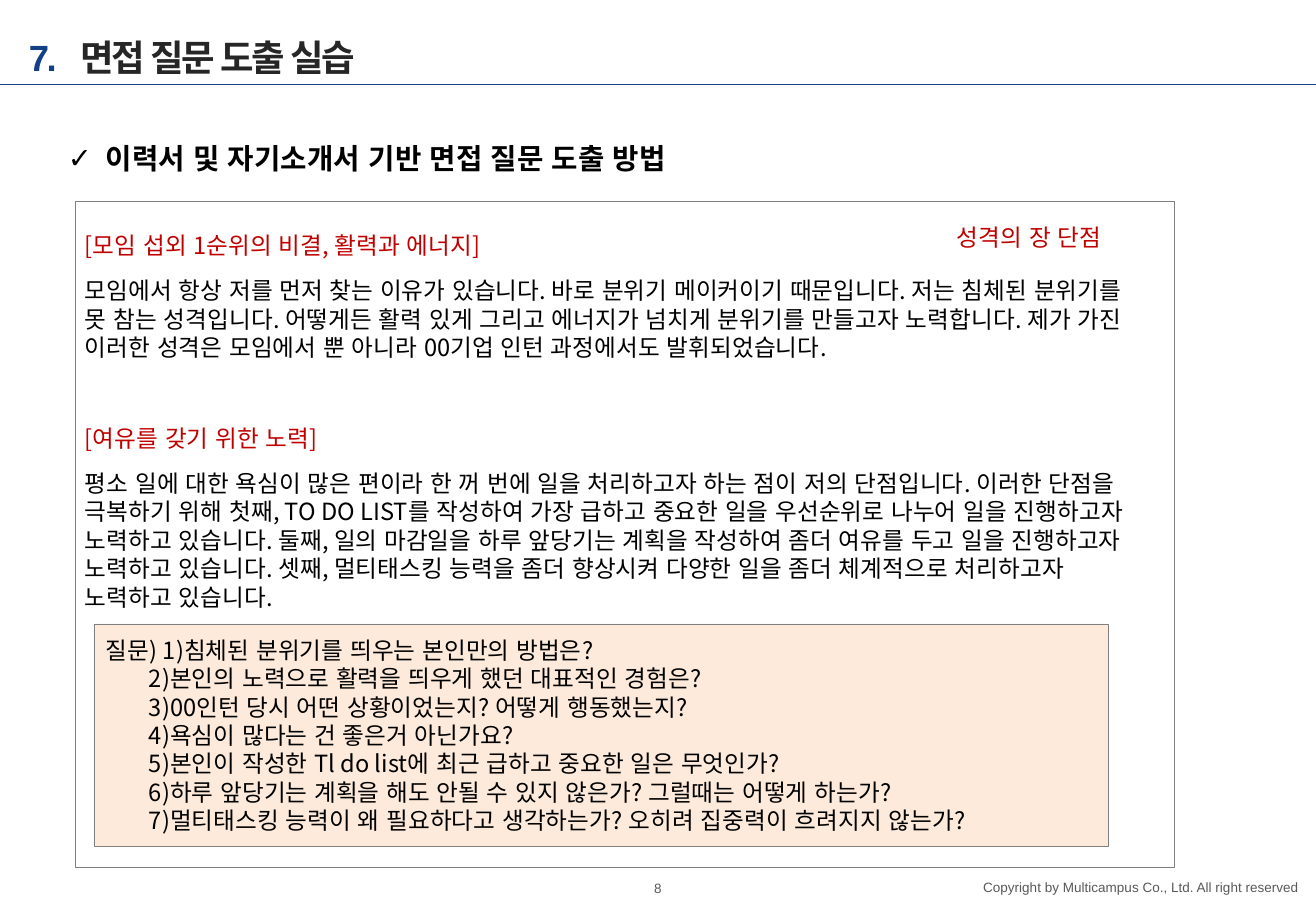
"""Build the interview question practice slide."""
from lxml import etree
from pptx import Presentation
from pptx.dml.color import RGBColor
from pptx.enum.shapes import MSO_CONNECTOR, MSO_SHAPE
from pptx.enum.text import MSO_ANCHOR, PP_ALIGN
from pptx.oxml.ns import qn
from pptx.util import Pt

TITLE_NUMBER = "7."
TITLE = "면접 질문 도출 실습"
HEADING = "이력서 및 자기소개서 기반 면접 질문 도출 방법"
TOPIC = "성격의 장 단점"
ESSAY = [
    ("[모임 섭외 1순위의 비결, 활력과 에너지]",
     "모임에서 항상 저를 먼저 찾는 이유가 있습니다. 바로 분위기 메이커이기 때문입니다. "
     "저는 침체된 분위기를 못 참는 성격입니다. 어떻게든 활력 있게 그리고 에너지가 넘치게 "
     "분위기를 만들고자 노력합니다. 제가 가진 이러한 성격은 모임에서 뿐 아니라 "
     "00기업 인턴 과정에서도 발휘되었습니다."),
    ("[여유를 갖기 위한 노력]",
     "평소 일에 대한 욕심이 많은 편이라 한 꺼 번에 일을 처리하고자 하는 점이 저의 단점입니다. "
     "이러한 단점을 극복하기 위해 첫째, TO DO LIST를 작성하여 가장 급하고 중요한 일을 "
     "우선순위로 나누어 일을 진행하고자 노력하고 있습니다. 둘째, 일의 마감일을 하루 앞당기는 "
     "계획을 작성하여 좀더 여유를 두고 일을 진행하고자 노력하고 있습니다. 셋째, 멀티태스킹 "
     "능력을 좀더 향상시켜 다양한 일을 좀더 체계적으로 처리하고자 노력하고 있습니다."),
]
QUESTIONS = [
    "질문) 1)침체된 분위기를 띄우는 본인만의 방법은?",
    "2)본인의 노력으로 활력을 띄우게 했던 대표적인 경험은?",
    "3)00인턴 당시 어떤 상황이었는지? 어떻게 행동했는지?",
    "4)욕심이 많다는 건 좋은거 아닌가요?",
    "5)본인이 작성한 Tl do list에 최근 급하고 중요한 일은 무엇인가?",
    "6)하루 앞당기는 계획을 해도 안될 수 있지 않은가? 그럴때는 어떻게 하는가?",
    "7)멀티태스킹 능력이 왜 필요하다고 생각하는가? 오히려 집중력이 흐려지지 않는가?",
]
PAGE_NUMBER = "8"
COPYRIGHT = "Copyright by Multicampus Co., Ltd. All right reserved"

PX = 914400 / 121.5
WIDTH, HEIGHT = 1316, 911
LATIN, KOREAN = "Arial", "Noto Sans CJK KR"
NAVY = RGBColor(0x13, 0x3F, 0x86)
CHARCOAL = RGBColor(0x26, 0x26, 0x26)
BLACK = RGBColor(0, 0, 0)
RED = RGBColor(0xC0, 0, 0)
GRAY = RGBColor(0x59, 0x59, 0x59)
BORDER = RGBColor(0x80, 0x80, 0x80)
WHITE = RGBColor(0xFF, 0xFF, 0xFF)
PEACH = RGBColor(0xFD, 0xEA, 0xDA)
LEFT, CENTER, RIGHT = PP_ALIGN.LEFT, PP_ALIGN.CENTER, PP_ALIGN.RIGHT
TOP, MIDDLE = MSO_ANCHOR.TOP, MSO_ANCHOR.MIDDLE
RECTANGLE, STRAIGHT = MSO_SHAPE.RECTANGLE, MSO_CONNECTOR.STRAIGHT


def emu(*lengths):
    return [round(length * PX) for length in lengths]


def write(paragraph, text, *, size=14, color=BLACK, font=KOREAN, bold=False, tracking=0,
          align=LEFT, before=0, line=None, margin=0, indent=0, bullet=None, tab=None):
    """Add a run to a paragraph and set the format of both."""
    properties = paragraph._p.get_or_add_pPr()
    if margin:
        properties.set("marL", str(emu(margin)[0]))
    if indent:
        properties.set("indent", str(emu(indent)[0]))
    if bullet:
        etree.SubElement(properties, qn("a:buFont")).set("typeface", LATIN)
        etree.SubElement(properties, qn("a:buChar")).set("char", bullet)
    if tab:
        stops = etree.SubElement(properties, qn("a:tabLst"))
        stop = etree.SubElement(stops, qn("a:tab"))
        stop.set("pos", str(emu(tab)[0]))
        stop.set("algn", "l")
    paragraph.alignment = align
    if before:
        paragraph.space_before = Pt(before)
    if line:
        paragraph.line_spacing = Pt(line)
    run = paragraph.add_run()
    run.text = text
    run.font.size = Pt(size)
    run.font.bold = bold
    run.font.color.rgb = color
    run.font.name = font
    run_properties = run._r.get_or_add_rPr()
    if tracking:
        run_properties.set("spc", str(round(tracking * 100)))
    etree.SubElement(run_properties, qn("a:ea")).set("typeface", LATIN)


def add_text_box(slide, box, anchor=TOP, wrap=True):
    frame = slide.shapes.add_textbox(*emu(*box)).text_frame
    frame.word_wrap = wrap
    frame.vertical_anchor = anchor
    return frame


def add_panel(slide, box, fill):
    shape = slide.shapes.add_shape(RECTANGLE, *emu(*box))
    shape.shadow.inherit = False
    shape.fill.solid()
    shape.fill.fore_color.rgb = fill
    shape.line.color.rgb = BORDER
    shape.line.width = Pt(0.25)
    return shape.text_frame


def add_header(slide):
    rule = slide.shapes.add_connector(STRAIGHT, *emu(0, 84, WIDTH, 84))
    rule.line.color.rgb = NAVY
    rule.line.width = Pt(0.5)
    etree.SubElement(rule._element.spPr, qn("a:effectLst"))
    title = add_text_box(slide, (17, 9, 893, 74), MIDDLE).paragraphs[0]
    style = dict(size=21.6, bold=True, tracking=-1.5, line=39)
    write(title, TITLE_NUMBER + "\t", color=NAVY, font=LATIN, margin=52, indent=-52, tab=52, **style)
    write(title, TITLE, color=CHARCOAL, **style)
    heading = add_text_box(slide, (56, 135, 1247, 47)).paragraphs[0]
    write(heading, HEADING, size=17, font=LATIN, bold=True, line=20.4,
          margin=38, indent=-38, bullet="✓")


def add_essay(slide):
    add_panel(slide, (75, 201, 1099, 666), WHITE)
    frame = add_text_box(slide, (73, 225, 1072, 395))
    for index, (heading, body) in enumerate(ESSAY):
        first = frame.add_paragraph() if index else frame.paragraphs[0]
        write(first, heading, color=RED, before=37 * index, line=16.8)
        write(frame.add_paragraph(), body, before=10, line=16.8)


def add_questions(slide):
    frame = add_panel(slide, (94, 624, 1014, 222), PEACH)
    frame.word_wrap = True
    frame.vertical_anchor = MIDDLE
    for index, question in enumerate(QUESTIONS):
        paragraph = frame.add_paragraph() if index else frame.paragraphs[0]
        write(paragraph, question, line=16.8, margin=43, indent=0 if index else -43)


def add_footer(slide):
    number = add_text_box(slide, (639, 878, 38, 21), MIDDLE, wrap=False)
    number.margin_left = number.margin_right = number.margin_top = number.margin_bottom = 0
    write(number.paragraphs[0], PAGE_NUMBER, size=8, color=GRAY, font=LATIN, align=CENTER)
    notice = add_text_box(slide, (976, 873, 335, 29), wrap=False)
    notice.margin_left = 0
    write(notice.paragraphs[0], COPYRIGHT, size=8, color=GRAY, font=LATIN, align=RIGHT)


def main():
    presentation = Presentation()
    presentation.slide_width, presentation.slide_height = emu(WIDTH, HEIGHT)
    slide = presentation.slides.add_slide(presentation.slide_layouts[6])
    add_header(slide)
    add_essay(slide)
    add_questions(slide)
    topic = add_text_box(slide, (945, 203, 185, 50), wrap=False).paragraphs[0]
    write(topic, TOPIC, color=RED, line=25.2)
    add_footer(slide)
    presentation.save("out.pptx")


if __name__ == "__main__":
    main()
